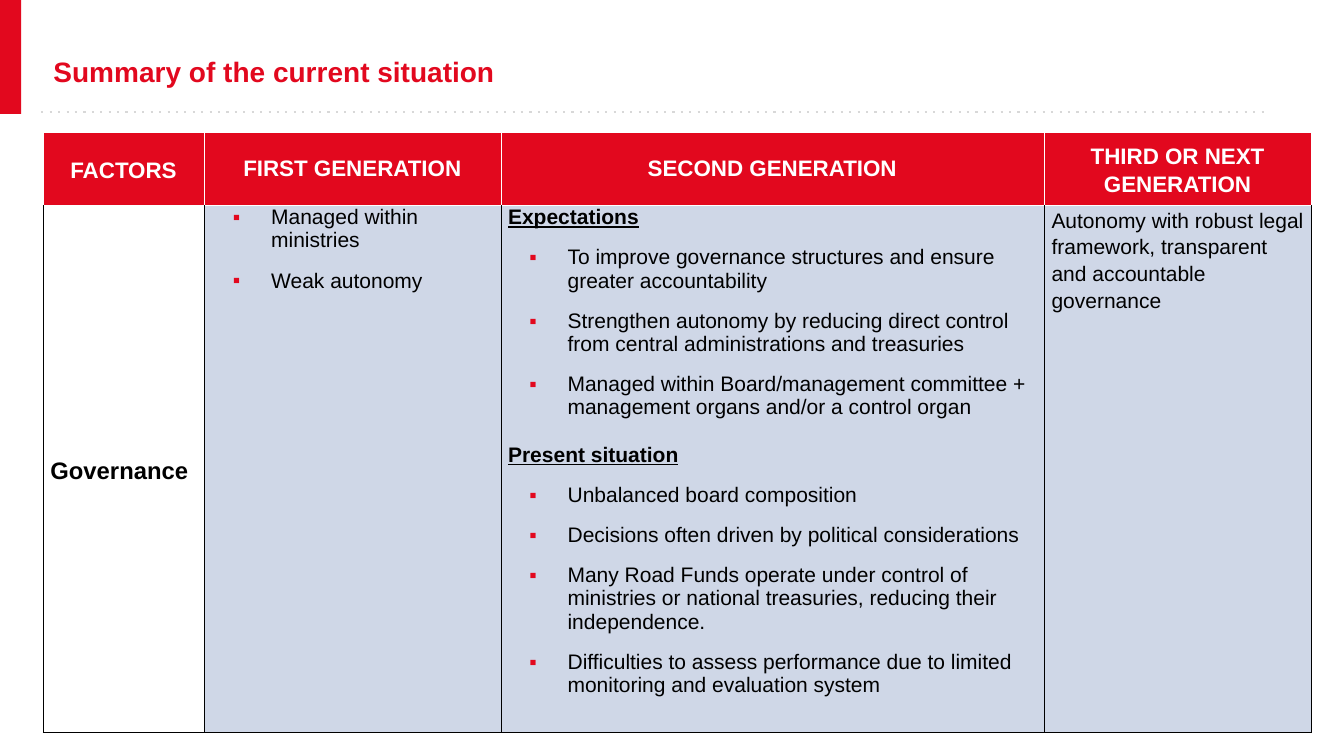
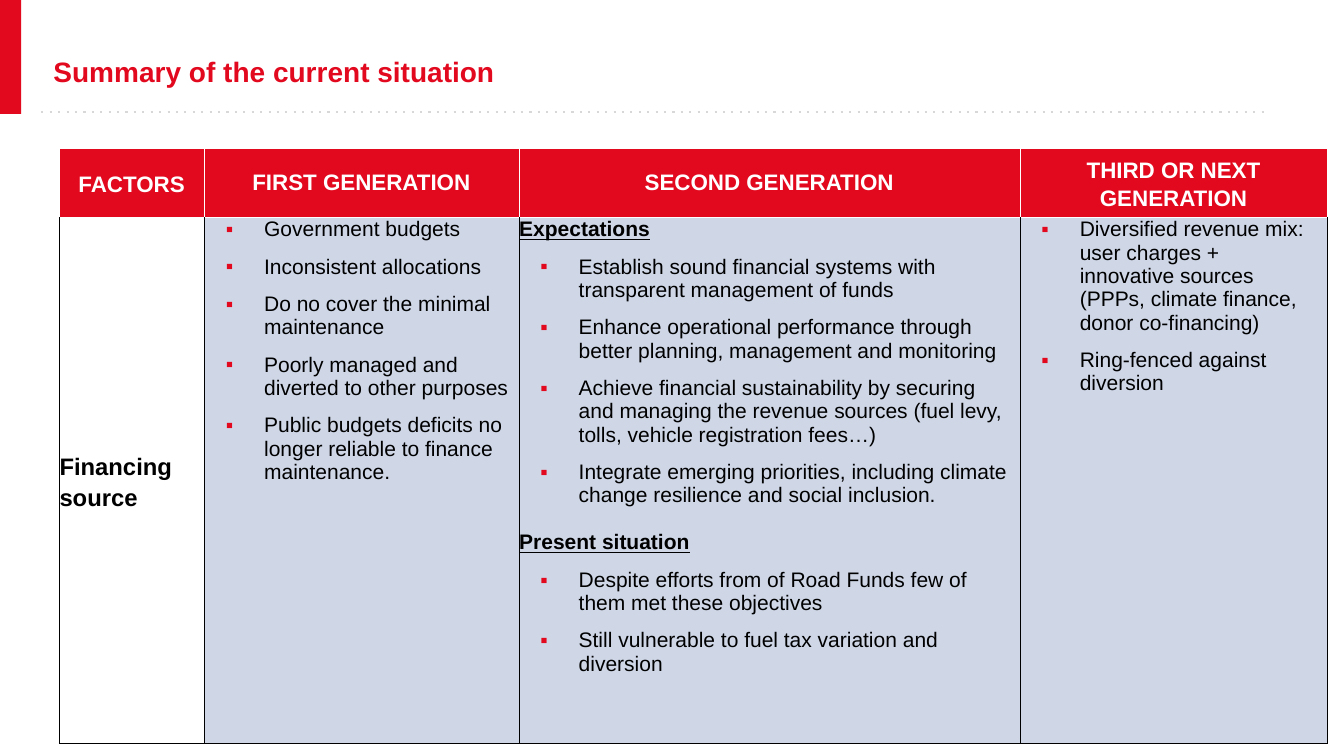
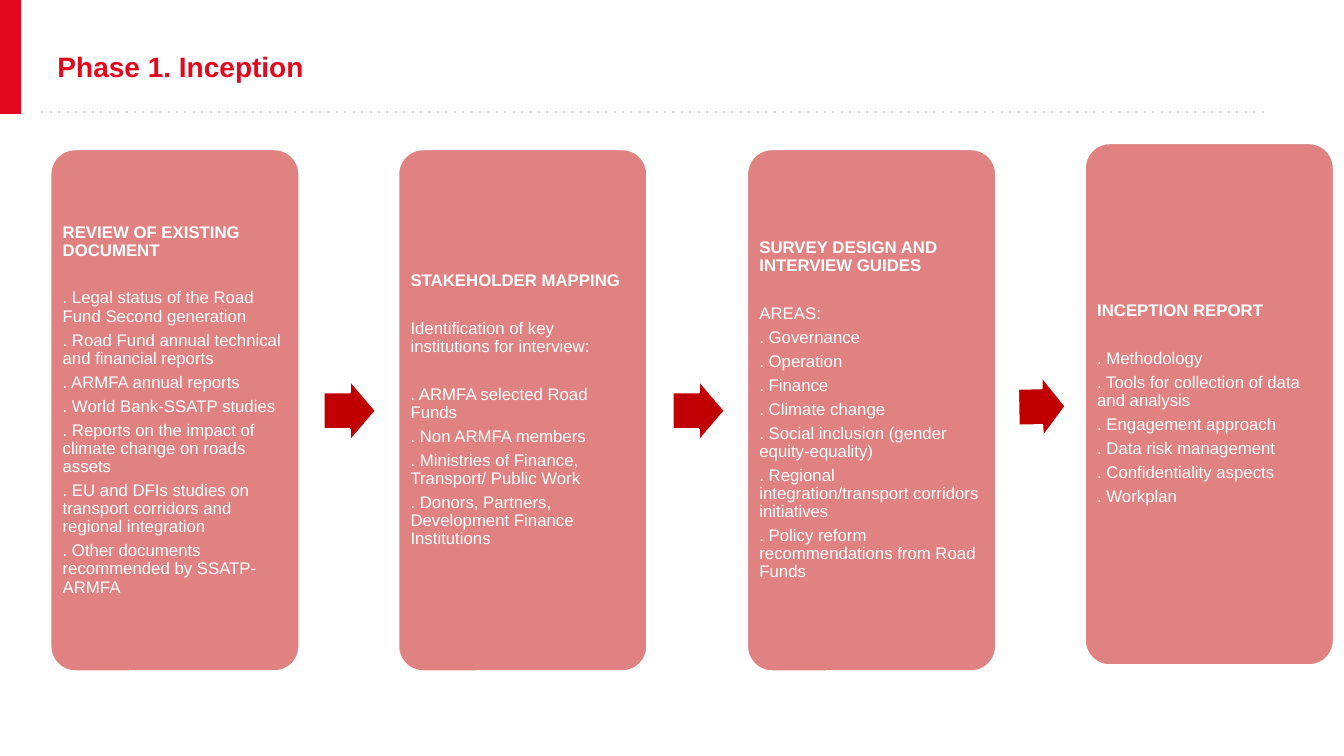
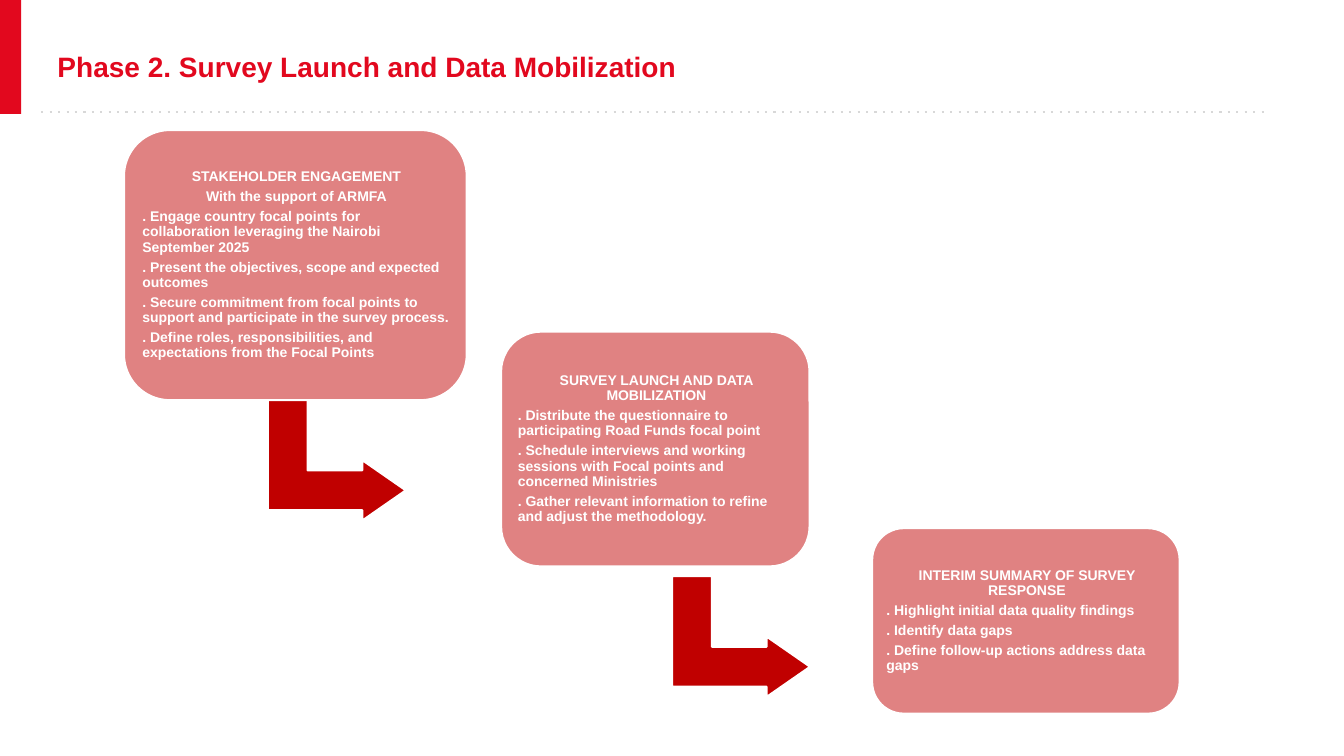
from dataclasses import dataclass
from typing import NamedTuple

from lxml import etree
from pptx import Presentation
from pptx import util as u
from pptx.dml.color import RGBColor
from pptx.enum import dml, shapes, text
from pptx.oxml.ns import qn

PX = 9144  # 100 px to the inch
FONT = "Arial"
RED, DARK_RED, GREY = "E2081E", "C00000", "D8D8D8"
WHITE, BLACK, PALE_BLUE = "FFFFFF", "000000", "CFD7E7"
HEADERS = ("FACTORS", "FIRST GENERATION", "SECOND GENERATION", "THIRD OR NEXT GENERATION")
CENTER = text.PP_ALIGN.CENTER
MIDDLE = text.MSO_ANCHOR.MIDDLE


class Box(NamedTuple):
    x: int
    y: int
    w: int
    h: int


@dataclass(frozen=True)
class Section:
    """A bulleted list under an optional underlined heading."""
    items: tuple[str, ...]
    heading: str = ""


@dataclass(frozen=True)
class FactorTable:
    x: int
    y: int
    cols: tuple[int, ...]
    rows: tuple[int, int]
    margins: tuple[int, int]
    bullet_gap: int
    factor: str
    cells: tuple[str | tuple[Section, ...], ...]


@dataclass(frozen=True)
class Card:
    box: Box
    heading: str
    lines: tuple[str, ...]
    subheading: str = ""
    gap_before: tuple[int, ...] = ()  # indexes of lines set off by a wide gap


@dataclass(frozen=True)
class Arrow:
    box: Box
    rotation: float = 0


TITLE_TABLES = Box(43, 49, 837, 44)
TITLE_PHASES = Box(47, 44, 1239, 44)

GOVERNANCE = FactorTable(
    43, 131, (160, 294, 539, 265), (73, 523), (7, 7), 12, "Governance",
    (
        (Section(("Managed within ministries", "Weak autonomy")),),
        (
            Section((
                "To improve governance structures and ensure greater accountability",
                "Strengthen autonomy by reducing direct control from central "
                "administrations and treasuries",
                "Managed within Board/management committee + management organs "
                "and/or a control organ",
            ), "Expectations"),
            Section((
                "Unbalanced board composition",
                "Decisions often driven by political considerations",
                "Many Road Funds operate under control of ministries or national "
                "treasuries, reducing their independence.",
                "Difficulties to assess performance due to limited monitoring and "
                "evaluation system",
            ), "Present situation"),
        ),
        "Autonomy with robust legal framework, transparent and accountable governance",
    ),
)

FINANCING = FactorTable(
    59, 147, (144, 312, 497, 305), (69, 522), (0, 9), 10, "Financing source",
    (
        (Section((
            "Government budgets",
            "Inconsistent allocations",
            "Do no cover the minimal maintenance",
            "Poorly managed and diverted to other purposes",
            "Public budgets deficits no longer reliable to finance maintenance.",
        )),),
        (
            Section((
                "Establish sound financial systems with transparent management of funds",
                "Enhance operational performance through better planning, management "
                "and monitoring",
                "Achieve financial sustainability by securing and managing the revenue "
                "sources (fuel levy, tolls, vehicle registration fees…)",
                "Integrate emerging priorities, including climate change resilience "
                "and social inclusion.",
            ), "Expectations"),
            Section((
                "Despite efforts from of Road Funds few of them met these objectives",
                "Still vulnerable to fuel tax variation and diversion",
            ), "Present situation"),
        ),
        (Section((
            "Diversified revenue mix: user charges + innovative sources (PPPs, "
            "climate finance, donor co-financing)",
            "Ring-fenced against diversion",
        )),),
    ),
)

INCEPTION_CARDS = (
    Card(Box(50, 148, 247, 518), "REVIEW OF EXISTING DOCUMENT", (
        ". Legal status of the Road Fund Second generation",
        ". Road Fund annual technical and financial reports",
        ". ARMFA annual reports",
        ". World Bank-SSATP studies",
        ". Reports on the impact of climate change on roads assets",
        ". EU and DFIs studies on transport corridors and regional integration",
        ". Other documents recommended by SSATP-ARMFA",
    ), gap_before=(0,)),
    Card(Box(395, 148, 247, 518), "STAKEHOLDER MAPPING", (
        "Identification of key institutions for interview:",
        ". ARMFA selected Road Funds",
        ". Non ARMFA members",
        ". Ministries of Finance, Transport/ Public Work",
        ". Donors, Partners, Development Finance Institutions",
    ), gap_before=(0, 1)),
    Card(Box(741, 148, 247, 518), "SURVEY DESIGN AND INTERVIEW GUIDES", (
        "AREAS:",
        ". Governance",
        ". Operation",
        ". Finance",
        ". Climate change",
        ". Social inclusion (gender equity-equality)",
        ". Regional integration/transport corridors initiatives",
        ". Policy reform recommendations from Road Funds",
    ), gap_before=(0,)),
    Card(Box(1076, 142, 247, 518), "INCEPTION REPORT", (
        ". Methodology",
        ". Tools for collection of data and analysis",
        ". Engagement approach",
        ". Data risk management",
        ". Confidentiality aspects",
        ". Workplan",
    ), gap_before=(0,)),
)
INCEPTION_ARROWS = (
    Arrow(Box(321, 377, 52, 61)),
    Arrow(Box(667, 377, 52, 61)),
    Arrow(Box(1010, 373, 47, 61), -1.1),
)

SURVEY_CARDS = (
    Card(Box(123, 129, 340, 268), "STAKEHOLDER ENGAGEMENT", (
        ". Engage country focal points for collaboration leveraging the Nairobi September 2025",
        ". Present the objectives, scope and expected outcomes",
        ". Secure commitment from focal points to support and participate in the survey process.",
        ". Define roles, responsibilities, and expectations from the Focal Points",
    ), "With the support of ARMFA"),
    Card(Box(497, 329, 306, 233), "SURVEY LAUNCH AND DATA MOBILIZATION", (
        ". Distribute the questionnaire to participating Road Funds focal point",
        ". Schedule interviews and working sessions with Focal points and concerned Ministries",
        ". Gather relevant information to refine and adjust the methodology.",
    )),
    Card(Box(865, 524, 305, 184), "INTERIM SUMMARY OF SURVEY RESPONSE", (
        ". Highlight initial data quality findings",
        ". Identify data gaps",
        ". Define follow-up actions address data gaps",
    )),
)
SURVEY_ARROWS = (Arrow(Box(274, 388, 120, 137), 90), Arrow(Box(675, 563, 120, 137), 90))


def rgb(value: str) -> RGBColor:
    return RGBColor.from_string(value)


def emu(*lengths: int) -> list[int]:
    return [n * PX for n in lengths]


def set_margins(target, left: int, top: int, right: int, bottom: int) -> None:
    """Set the insets of a text frame or a table cell."""
    (target.margin_left, target.margin_top,
     target.margin_right, target.margin_bottom) = emu(left, top, right, bottom)


def add_bullet(p) -> None:
    pPr = p._p.get_or_add_pPr()
    pPr.set("marL", str(59 * PX))
    pPr.set("indent", str(-38 * PX))
    color = etree.SubElement(pPr, qn("a:buClr"))
    etree.SubElement(color, qn("a:srgbClr"), val=RED)
    etree.SubElement(pPr, qn("a:buFont"), typeface=FONT)
    etree.SubElement(pPr, qn("a:buChar"), char="▪")


def add_text(tf, words: str, *, size: int, color: str = BLACK, bold: bool = False,
             underline: bool = False, align=text.PP_ALIGN.LEFT, spacing: float = 1.0,
             before: float = 0, bullet: bool = False) -> None:
    """Add a paragraph; the first one in a frame takes no space before."""
    first = not tf.text
    p = tf.paragraphs[0] if first else tf.add_paragraph()
    if bullet:
        add_bullet(p)
    p.alignment = align
    p.line_spacing = spacing
    p.space_before = u.Pt(0 if first else before)
    r = p.add_run()
    r.text = words
    r.font.name, r.font.size = FONT, u.Pt(size)
    r.font.bold, r.font.underline = bold, underline
    r.font.color.rgb = rgb(color)


def add_shape(s, kind, box: Box, fill: str, *, line: str | None = None,
              adjust: tuple[float, ...] = (), rotation: float = 0):
    sp = s.shapes.add_shape(kind, *emu(*box))
    sp.shadow.inherit = False
    sp.fill.solid()
    sp.fill.fore_color.rgb = rgb(fill)
    if line:
        sp.line.color.rgb = rgb(line)
        sp.line.width = u.Pt(1.5)
    else:
        sp.line.fill.background()
    for i, value in enumerate(adjust):
        sp.adjustments[i] = value
    sp.rotation = rotation
    return sp


def add_master_band(prs, s) -> None:
    """Draw the red tab and dotted rule on a slide, then move them to the master."""
    tab = add_shape(s, shapes.MSO_SHAPE.RECTANGLE, Box(0, 0, 21, 113), RED)
    rule = s.shapes.add_connector(shapes.MSO_CONNECTOR.STRAIGHT, *emu(41, 111, 1256, 111))
    rule.line.color.rgb = rgb(GREY)
    rule.line.width = u.Pt(1.5)
    rule.line.dash_style = dml.MSO_LINE.ROUND_DOT
    rule.element.find(".//" + qn("a:prstDash")).set("val", "dot")
    etree.SubElement(rule.element.spPr, qn("a:effectLst"))
    for number, sp in enumerate((tab, rule), start=101):
        sp.element.find(".//" + qn("p:cNvPr")).set("id", str(number))
        prs.slide_master.shapes.element.append(sp.element)


def add_slide(prs, title: str, box: Box):
    s = prs.slides.add_slide(prs.slide_layouts[5])
    sp = s.shapes.title
    sp.left, sp.top, sp.width, sp.height = emu(*box)
    tf = sp.text_frame
    set_margins(tf, 10, 5, 10, 5)
    tf.word_wrap = True
    tf.auto_size = text.MSO_AUTO_SIZE.SHAPE_TO_FIT_TEXT
    tf.vertical_anchor = text.MSO_ANCHOR.TOP
    add_text(tf, title, size=20, color=RED, bold=True)
    return s


def style_cell(cell, fill: str, side: str, top_width: float) -> None:
    """Fill a cell; its top border is white, the others take the side colour."""
    tcPr = cell._tc.get_or_add_tcPr()
    for edge in "LRTB":
        color, width = (WHITE, top_width) if edge == "T" else (side, 0.75)
        ln = etree.SubElement(tcPr, qn(f"a:ln{edge}"), w=str(u.Pt(width)))
        solid = etree.SubElement(ln, qn("a:solidFill"))
        etree.SubElement(solid, qn("a:srgbClr"), val=color)
    cell.fill.solid()
    cell.fill.fore_color.rgb = rgb(fill)


def add_sections(tf, sections: tuple[Section, ...], gap: int) -> None:
    for section in sections:
        if section.heading:
            add_text(tf, section.heading, size=15, bold=True, underline=True, before=17)
        for item in section.items:
            add_text(tf, item, size=15, before=gap, bullet=True)


def add_factor_table(s, spec_table: FactorTable) -> None:
    t = spec_table
    frame = s.shapes.add_table(2, len(t.cols), *emu(t.x, t.y, sum(t.cols), sum(t.rows)))
    table = frame.table
    for row, height in zip(table.rows, emu(*t.rows)):
        row.height = height
    for col, width in zip(table.columns, emu(*t.cols)):
        col.width = width

    for i, header in enumerate(HEADERS):
        cell = table.cell(0, i)
        style_cell(cell, RED, WHITE, 1.5)
        set_margins(cell, 0, 0, 1, 0)
        cell.vertical_anchor = MIDDLE
        add_text(cell.text_frame, header, size=16, color=WHITE, bold=True, align=CENTER,
                 spacing=1.15 if i in (0, 3) else 1.0)

    left, right = t.margins
    for i, content in enumerate((t.factor, *t.cells)):
        cell = table.cell(1, i)
        is_factor = i == 0
        style_cell(cell, WHITE if is_factor else PALE_BLUE, BLACK, 0.75)
        set_margins(cell, left, 0, right, 0)
        cell.vertical_anchor = MIDDLE if is_factor else text.MSO_ANCHOR.TOP
        if isinstance(content, str):
            add_text(cell.text_frame, content, size=17 if is_factor else 15,
                     bold=is_factor, spacing=1.15)
        else:
            add_sections(cell.text_frame, content, t.bullet_gap)


def add_card(s, card: Card, *, corner: float, size: int, gap: float,
             bold: bool, heading_align) -> None:
    sp = add_shape(s, shapes.MSO_SHAPE.ROUNDED_RECTANGLE, card.box, DARK_RED,
                   line=WHITE, adjust=(corner,))
    color = sp.element.spPr.find(qn("a:solidFill")).find(qn("a:srgbClr"))
    etree.SubElement(color, qn("a:alpha"), val="49000")
    tf = sp.text_frame
    tf.word_wrap = True
    tf.vertical_anchor = MIDDLE
    set_margins(tf, 5, 5, 3, 5)
    for heading in filter(None, (card.heading, card.subheading)):
        add_text(tf, heading, size=size, color=WHITE, bold=True, align=heading_align,
                 spacing=0.9, before=gap)
    for i, line in enumerate(card.lines):
        add_text(tf, line, size=size, color=WHITE, bold=bold, spacing=0.9,
                 before=21 if i in card.gap_before else gap)


def add_arrows(s, kind, arrows: tuple[Arrow, ...], adjust: tuple[float, ...]) -> None:
    for arrow in arrows:
        add_shape(s, kind, arrow.box, DARK_RED, line=WHITE, adjust=adjust,
                  rotation=arrow.rotation)


def main() -> None:
    prs = Presentation()
    prs.slide_width, prs.slide_height = emu(1333, 750)

    for table in (GOVERNANCE, FINANCING):
        s = add_slide(prs, "Summary of the current situation", TITLE_TABLES)
        add_factor_table(s, table)
    add_master_band(prs, s)

    s = add_slide(prs, "Phase 1. Inception", TITLE_PHASES)
    for card in INCEPTION_CARDS:
        add_card(s, card, corner=0.1, size=12, gap=4.2, bold=False,
                 heading_align=text.PP_ALIGN.LEFT)
    add_arrows(s, shapes.MSO_SHAPE.RIGHT_ARROW, INCEPTION_ARROWS, (0.6, 0.5))

    s = add_slide(prs, "Phase 2. Survey Launch and Data Mobilization", TITLE_PHASES)
    add_arrows(s, shapes.MSO_SHAPE.BENT_UP_ARROW, SURVEY_ARROWS, (0.33, 0.25, 0.36))
    for card in SURVEY_CARDS:
        add_card(s, card, corner=0.17, size=10, gap=3.5, bold=True, heading_align=CENTER)

    prs.save("out.pptx")


if __name__ == "__main__":
    main()
